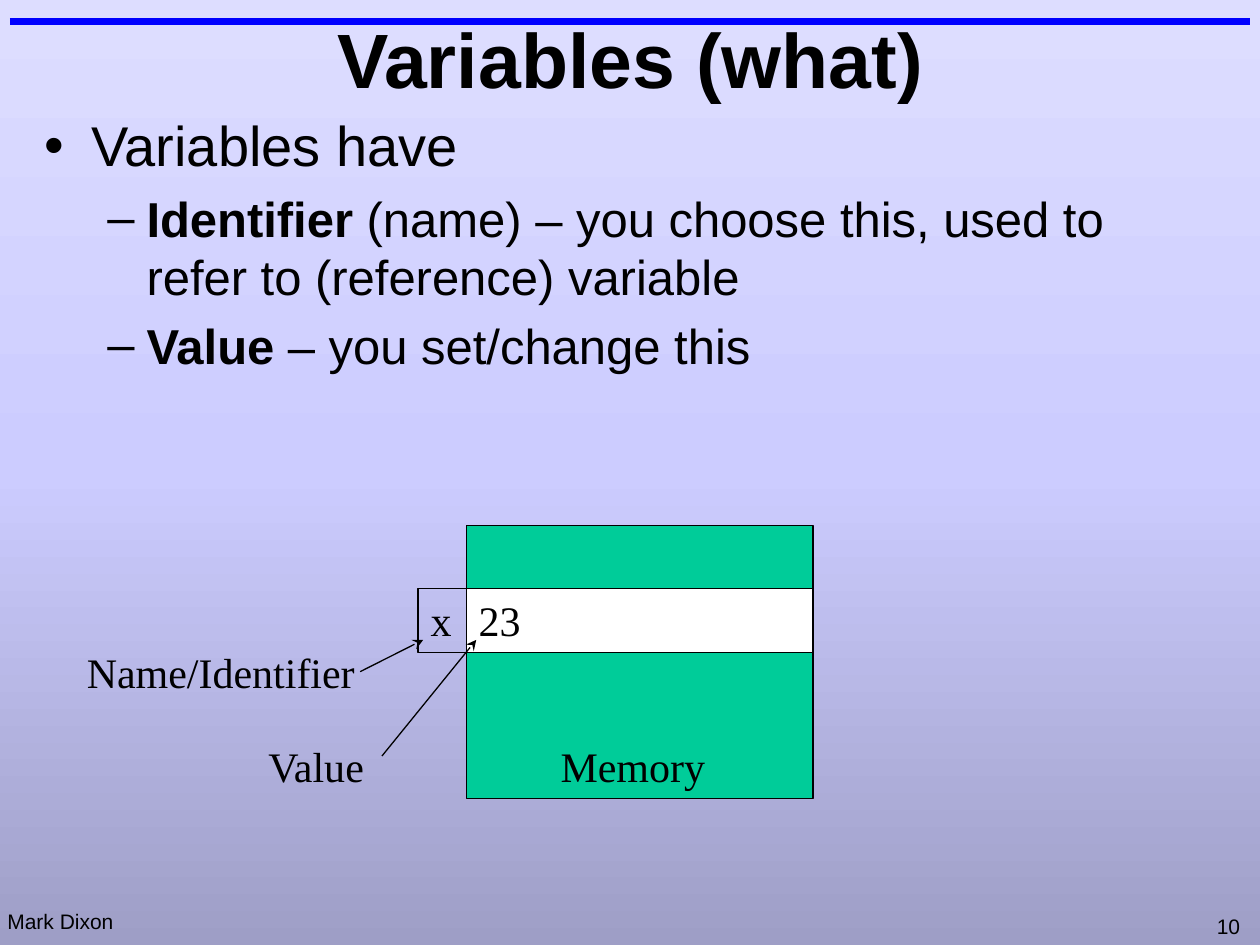
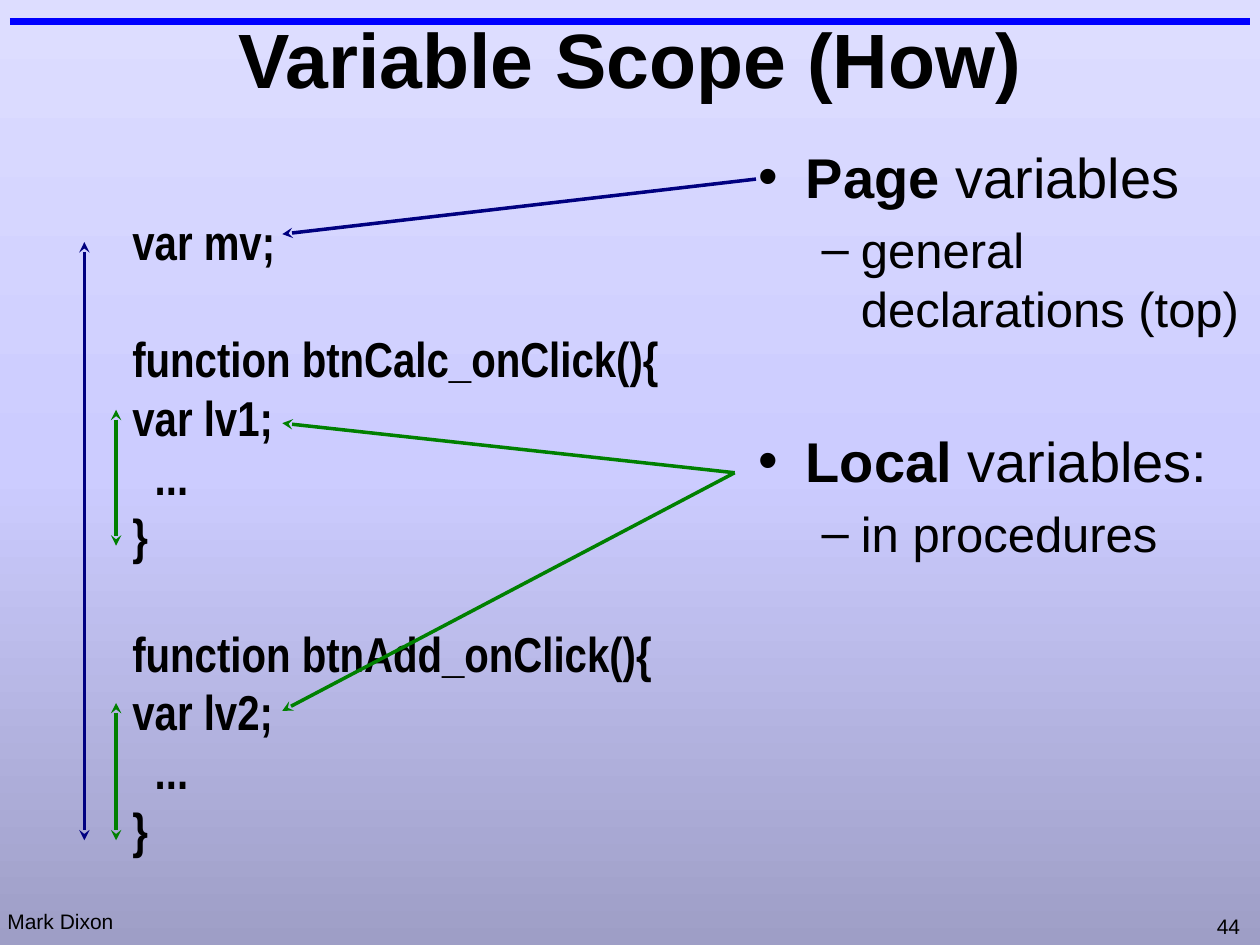
from copy import deepcopy
from dataclasses import dataclass

from pptx import Presentation
from pptx.dml.color import RGBColor
from pptx.enum.shapes import MSO_CONNECTOR, MSO_SHAPE
from pptx.enum.text import MSO_ANCHOR, MSO_AUTO_SIZE, PP_ALIGN
from pptx.oxml.ns import qn
from pptx.oxml.xmlchemy import OxmlElement
from pptx.util import Cm, Pt

STRAIGHT = MSO_CONNECTOR.STRAIGHT
RECT = MSO_SHAPE.RECTANGLE
TOP, MIDDLE = MSO_ANCHOR.TOP, MSO_ANCHOR.MIDDLE
FIXED, GROW = MSO_AUTO_SIZE.NONE, MSO_AUTO_SIZE.SHAPE_TO_FIT_TEXT
LEFT, CENTER = PP_ALIGN.LEFT, PP_ALIGN.CENTER


@dataclass(frozen=True)
class Theme:
    ink: str = "000000"
    rule: str = "0000FF"
    memory: str = "00CC99"
    cell: str = "FFFFFF"
    page: str = "000080"
    local: str = "008000"
    back: tuple = ((0, "DDDDFF"), (0.5, "CCCCFF"), (1, "9E9EC6"))
    sans: str = "Arial"
    narrow: str = "Arial Narrow"
    serif: str = "Times New Roman"
    title: int = 44
    levels: tuple = (32, 28)
    hangs: tuple = ((0.95, -0.95), (2.06, -0.79))
    code: int = 28
    label: int = 24
    foot: int = 12


@dataclass(frozen=True)
class Line:
    """A paragraph: a bold lead, the rest, and its place in the list."""
    text: str
    lead: str = ""
    level: int = 0
    gap: float = None
    indent: float = None


def rgb(code):
    return RGBColor.from_string(code)


def write(frame, lines, font, size, color, bold=False, align=LEFT, hangs=None):
    """Fill a frame; with hangs, lines are list items sized by level."""
    for i, item in enumerate(lines):
        line = Line(item) if isinstance(item, str) else item
        para = frame.paragraphs[0] if i == 0 else frame.add_paragraph()
        para.alignment = align
        if line.gap is not None:
            para.space_before = Pt(line.gap)
        props = para._p.get_or_add_pPr()
        if hangs:
            para.level = line.level
            margin, hang = hangs[line.level]
            props.set("marL", str(Cm(margin)))
            props.set("indent", str(Cm(hang)))
        elif line.indent:
            props.set("marL", str(Cm(line.indent)))
        for text, strong in ((line.lead, True), (line.text, bold)):
            if text:
                run = para.add_run()
                run.text = text
                run.font.name = font
                run.font.size = Pt(size[line.level] if hangs else size)
                run.font.bold = strong
                run.font.color.rgb = rgb(color)


class Deck:
    def __init__(self, theme):
        self.theme = theme
        self.prs = Presentation()
        self.prs.slide_width, self.prs.slide_height = Cm(25.4), Cm(19.05)
        self.slide = None
        self.paint()

    def paint(self):
        """Give the master its three-stop gradient."""
        master = self.prs.slide_master
        fill = master.background.fill
        fill.gradient()
        fill.gradient_angle = 270
        stops = master.element.find(".//" + qn("a:gsLst"))
        stops.append(deepcopy(stops[-1]))
        for stop, (place, color) in zip(fill.gradient_stops, self.theme.back):
            stop.position = place
            stop.color.rgb = rgb(color)

    def page(self, title, number):
        """Start a slide with the shared rule, footer and title."""
        t = self.theme
        self.slide = self.prs.slides.add_slide(self.prs.slide_layouts[1])
        self.line((0.2, 0.43), (25.2, 0.43), t.rule, 4)
        foot = dict(font=t.sans, size=t.foot)
        self.text(["Mark Dixon"], (-0.1, 18.19, 2.64, 0.76), **foot)
        self.text([str(number)], (24.28, 18.29, 1.02, 0.76), **foot)
        frame = self.holder(self.slide.shapes.title, (0.43, -0.43, 24.56, 3.18), MIDDLE)
        write(frame, [title], t.sans, t.title, t.ink, bold=True, align=CENTER)

    def holder(self, shape, box, anchor):
        shape.left, shape.top, shape.width, shape.height = map(Cm, box)
        frame = shape.text_frame
        frame.auto_size, frame.vertical_anchor = FIXED, anchor
        return frame

    def bullets(self, lines, box):
        t = self.theme
        frame = self.holder(self.slide.placeholders[1], box, TOP)
        write(frame, lines, t.sans, t.levels, t.ink, hangs=t.hangs)

    def text(self, lines, box, font=None, size=None, bold=False, inset=None):
        t = self.theme
        frame = self.slide.shapes.add_textbox(*map(Cm, box)).text_frame
        frame.word_wrap, frame.auto_size = False, GROW
        if inset is not None:
            frame.margin_left = frame.margin_right = Cm(inset)
            frame.margin_top = frame.margin_bottom = Cm(inset)
        write(frame, lines, font or t.serif, size or t.label, t.ink, bold)

    def rect(self, box, fill=None, text=None):
        t = self.theme
        shape = self.slide.shapes.add_shape(RECT, *map(Cm, box))
        shape.shadow.inherit = False
        if fill:
            shape.fill.solid()
            shape.fill.fore_color.rgb = rgb(fill)
        else:
            shape.fill.background()
        shape.line.color.rgb = rgb(t.ink)
        shape.line.width = Pt(0.75)
        if text:
            shape.text_frame.vertical_anchor = TOP
            shape.text_frame.word_wrap = False
            write(shape.text_frame, [text], t.serif, t.label, t.ink)

    def line(self, start, end, color, width, *tips):
        """Draw a line; tips name the ends with arrowheads, head before tail."""
        link = self.slide.shapes.add_connector(STRAIGHT, *map(Cm, start + end))
        link.line.color.rgb = rgb(color)
        link.line.width = Pt(width)
        stroke = link.line._get_or_add_ln()
        for tip in tips:
            mark = OxmlElement(f"a:{tip}End")
            mark.set("type", "stealth")
            stroke.append(mark)
        link._element.spPr.append(OxmlElement("a:effectLst"))

    def arrow(self, start, end, color, width):
        self.line(start, end, color, width, "tail")

    def span(self, x, top, bottom, color):
        """Draw a vertical double arrow over the lines where a name is known."""
        self.line((x, top), (x, bottom), color, 2, "head", "tail")


def what(deck):
    t = deck.theme
    deck.page("Variables (what)", 10)
    deck.bullets([
        Line("Variables have"),
        Line(" (name) – you choose this, used to refer to (reference) variable",
             lead="Identifier", level=1),
        Line(" – you set/change this", lead="Value", level=1),
    ], (0.64, 2.11, 24.13, 15.67))

    left, wide, row, high = 9.4, 6.99, 11.86, 1.3
    tag = 0.97
    deck.rect((left, 10.59, wide, 5.51), t.memory)
    deck.rect((left, row, wide, high), t.cell, "23")
    deck.rect((left - tag, row, tag, high), text="x")
    deck.text(["Name/Identifier"], (1.5, 12.9, 5.92, 1.27))
    deck.text(["Value"], (5.16, 14.81, 2.54, 1.27))
    deck.arrow((7.26, 13.54), (8.53, 12.9), t.ink, 0.75)
    deck.arrow((7.7, 15.24), (9.6, 12.9), t.ink, 0.75)
    deck.text(["Memory"], (11.05, 14.81, 3.43, 1.27))


def scope(deck):
    t = deck.theme
    deck.page("Variable Scope (How)", 44)
    deck.bullets([
        Line(" variables", lead="Page"),
        Line("general declarations (top)", level=1),
        Line(" variables:", lead="Local", gap=51),
        Line("in procedures", level=1),
    ], (15.04, 2.74, 10.8, 15.44))

    code = ["var mv;"]
    for name, local in (("btnCalc", "lv1"), ("btnAdd", "lv2")):
        code += [Line(f"function {name}_onClick(){{", gap=33.6),
                 f"var {local};", Line("...", indent=0.45), "}"]
    deck.text(code, (2.57, 4.16, 10.82, 13.23), font=t.narrow, size=t.code,
              bold=True, inset=0.1)

    tip, hub, end = 5.69, (14.81, 9.53), 16.94
    deck.arrow((15.24, 3.61), (tip, 4.72), t.page, 2)
    deck.span(1.7, 4.88, end, t.page)
    for aim, top, bottom in ((14.33, 14.17, end), (8.53, 8.26, 11)):
        deck.arrow(hub, (tip, aim), t.local, 2)
        deck.span(2.34, top, bottom, t.local)


def main():
    deck = Deck(Theme())
    what(deck)
    scope(deck)
    deck.prs.save("out.pptx")


if __name__ == "__main__":
    main()
